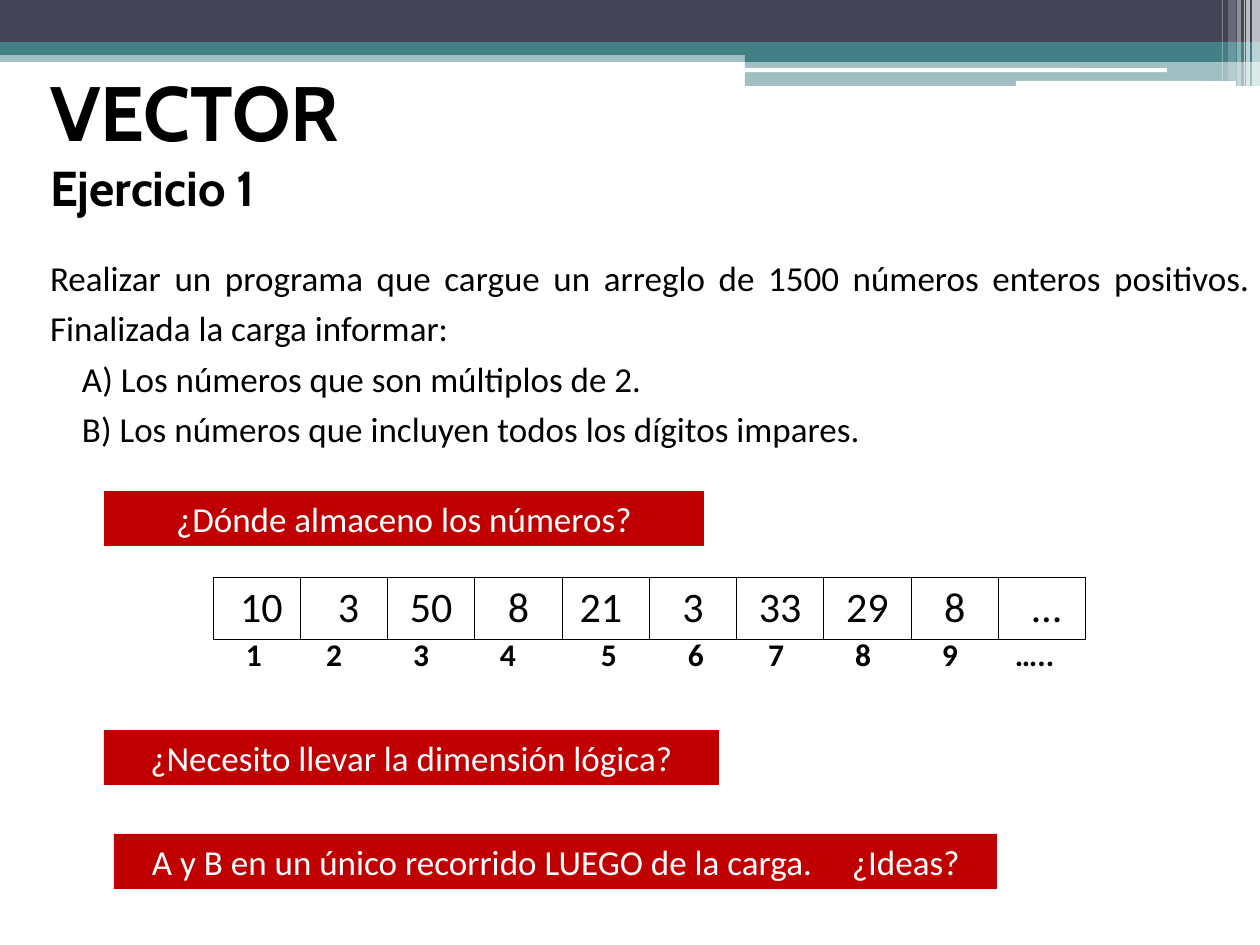
from dataclasses import dataclass

from lxml import etree
from pptx import Presentation
from pptx import util as u
from pptx.dml.color import RGBColor
from pptx.enum import shapes, text
from pptx.oxml import ns


@dataclass(frozen=True)
class Theme:
    """Colours, fonts and type sizes of the slide."""
    navy: str = "424456"
    teal: str = "438086"
    white: str = "FFFFFF"
    black: str = "000000"
    red: str = "C00000"
    head_font: str = "Cabin"
    body_font: str = "Calibri"
    title: int = 44
    subtitle: int = 28
    cell: int = 24
    body: int = 20
    index: int = 18
    border: float = 0.45


T = Theme()
RECT = shapes.MSO_SHAPE.RECTANGLE
ROUND = shapes.MSO_SHAPE.ROUNDED_RECTANGLE
LEFT, CENTER, JUSTIFY = text.PP_ALIGN.LEFT, text.PP_ALIGN.CENTER, text.PP_ALIGN.JUSTIFY
GROW = text.MSO_AUTO_SIZE.SHAPE_TO_FIT_TEXT

BANDS = [
    (RECT, (0, 50, 1260, 12), T.teal, 50),
    (RECT, (0, 0, 1260, 43), T.navy, 100),
    (RECT, (0, 42, 1260, 13), T.teal, 100),
    (RECT, (745, 49, 515, 13), T.teal, 100),
    (RECT, (745, 61, 515, 25), T.teal, 50),
    (ROUND, (745, 68, 422, 4), T.white, 100),
    (ROUND, (1016, 81, 220, 5), T.white, 100),
]
STRIPES = [(1252, 8, 86, 65), (1246, 4, 86, 65), (1244, 1, 86, 60),
           (1237, 4, 86, 40), (1228, 8, 81, 20), (1222, 1, 81, 30)]
STATEMENT = [
    ("Realizar un programa que cargue un arreglo de 1500 números enteros positivos. "
     "Finalizada la carga informar:", 0),
    ("A) Los números que son múltiplos de 2.", 32),
    ("B) Los números que incluyen todos los dígitos impares.", 32),
]
VALUES = [" 10", " 3", "50", "8", "21 ", "3", "33", "29", "8", " …"]
INDEXES = [str(n) for n in range(1, 10)] + ["….."]
INDEX_TABS = [80, 167, 254, 355, 442, 522, 609, 696, 769]
QUESTIONS = [
    ("¿Necesito llevar la dimensión lógica?", (104, 730, 615, 55), {}),
    ("¿Dónde almaceno los números?", (104, 491, 600, 55), {}),
    ("A y B en un único recorrido LUEGO de la carga.\t¿Ideas?", (114, 834, 883, 55),
     {"align": LEFT, "inset": 38, "tabs": [700]}),
]


def px(n):
    """Turn pixels into EMU."""
    return u.Emu(round(n * 914400 / 126))


def assign(obj, **values):
    """Set attributes from format values."""
    for name, value in values.items():
        setattr(obj, name, value)


def write(p, words, size, color=T.black, font=T.body_font, bold=False,
          align=LEFT, spacing=None, indent=0, tabs=()):
    """Fill a paragraph with one formatted run."""
    ppr = p._p.get_or_add_pPr()
    if indent:
        ppr.set("marL", str(px(indent)))
    if tabs:
        stops = etree.SubElement(ppr, ns.qn("a:tabLst"))
        for stop in tabs:
            etree.SubElement(stops, ns.qn("a:tab"), pos=str(px(stop)), algn="l")
    assign(p, alignment=align, line_spacing=spacing)
    r = p.add_run()
    r.text = words
    assign(r.font, size=u.Pt(size), name=font, bold=bold)
    r.font.color.rgb = RGBColor.from_string(color)


def set_frame(tf, left=13, bottom=6, anchor=text.MSO_ANCHOR.TOP,
              auto_size=text.MSO_AUTO_SIZE.NONE):
    """Set wrapping, insets and anchoring of a text frame."""
    assign(tf, word_wrap=True, margin_left=px(left), margin_right=px(13),
           margin_top=px(6), margin_bottom=px(bottom),
           vertical_anchor=anchor, auto_size=auto_size)


def add_block(s, kind, box, color, opacity=100):
    """Add a plain filled shape."""
    sp = s.shapes.add_shape(kind, *map(px, box))
    sp.shadow.inherit = False
    sp.line.fill.background()
    sp.fill.solid()
    sp.fill.fore_color.rgb = RGBColor.from_string(color)
    if opacity < 100:
        clr = sp.fill._xPr.find(".//" + ns.qn("a:srgbClr"))
        etree.SubElement(clr, ns.qn("a:alpha"), val=str(opacity * 1000))
    return sp


def add_text(s, box, lines, **frame):
    """Add a text box from (words, size, format) lines."""
    tf = s.shapes.add_textbox(*map(px, box)).text_frame
    set_frame(tf, **frame)
    for i, (words, size, fmt) in enumerate(lines):
        write(tf.add_paragraph() if i else tf.paragraphs[0], words, size, **fmt)


def add_question(s, words, box, align=CENTER, inset=13, tabs=()):
    """Add a red question bar."""
    tf = add_block(s, RECT, box, T.red).text_frame
    set_frame(tf, left=inset, auto_size=GROW)
    write(tf.paragraphs[0], words, T.body, T.white, align=align, tabs=tabs)


def add_borders(cell):
    """Draw thin borders around a table cell."""
    tcpr = cell._tc.get_or_add_tcPr()
    for i, side in enumerate(("lnL", "lnR", "lnT", "lnB")):
        ln = etree.Element(ns.qn("a:" + side), w=str(u.Pt(T.border)))
        fill = etree.SubElement(ln, ns.qn("a:solidFill"))
        etree.SubElement(fill, ns.qn("a:srgbClr"), val=T.black)
        tcpr.insert(i, ln)


def add_vector(s, box, values):
    """Add the one-row table of vector values."""
    table = s.shapes.add_table(1, len(values), *map(px, box)).table
    assign(table, first_row=False, horz_banding=False)
    for cell, value in zip(table.rows[0].cells, values):
        cell.fill.background()
        assign(cell, margin_left=px(10), margin_right=px(10),
               margin_top=px(6), margin_bottom=px(6))
        write(cell.text_frame.paragraphs[0], value, T.cell, align=CENTER)
        add_borders(cell)


def main():
    """Build and save the slide."""
    prs = Presentation()
    assign(prs, slide_width=px(1260), slide_height=px(945))
    s = prs.slides.add_slide(prs.slide_layouts[6])
    for band in BANDS:
        add_block(s, *band)
    for left, width, height, opacity in STRIPES:
        add_block(s, RECT, (left, 0, width, height), T.white, opacity)
    body = {"align": JUSTIFY, "spacing": 1.2}
    add_text(s, (37, 242, 1226, 257),
             [(words, T.body, {**body, "indent": indent}) for words, indent in STATEMENT],
             auto_size=GROW)
    head = {"font": T.head_font, "bold": True}
    add_text(s, (37, 138, 1177, 91),
             [("VECTOR", T.title, head), ("Ejercicio 1", T.subtitle, head)],
             bottom=13, anchor=text.MSO_ANCHOR.BOTTOM)
    add_vector(s, (213, 577, 873, 62), VALUES)
    add_text(s, (233, 629, 1067, 50),
             [("\t".join(INDEXES), T.index, {"bold": True, "tabs": INDEX_TABS})],
             auto_size=GROW)
    for words, box, fmt in QUESTIONS:
        add_question(s, words, box, **fmt)
    prs.save("out.pptx")


if __name__ == "__main__":
    main()
